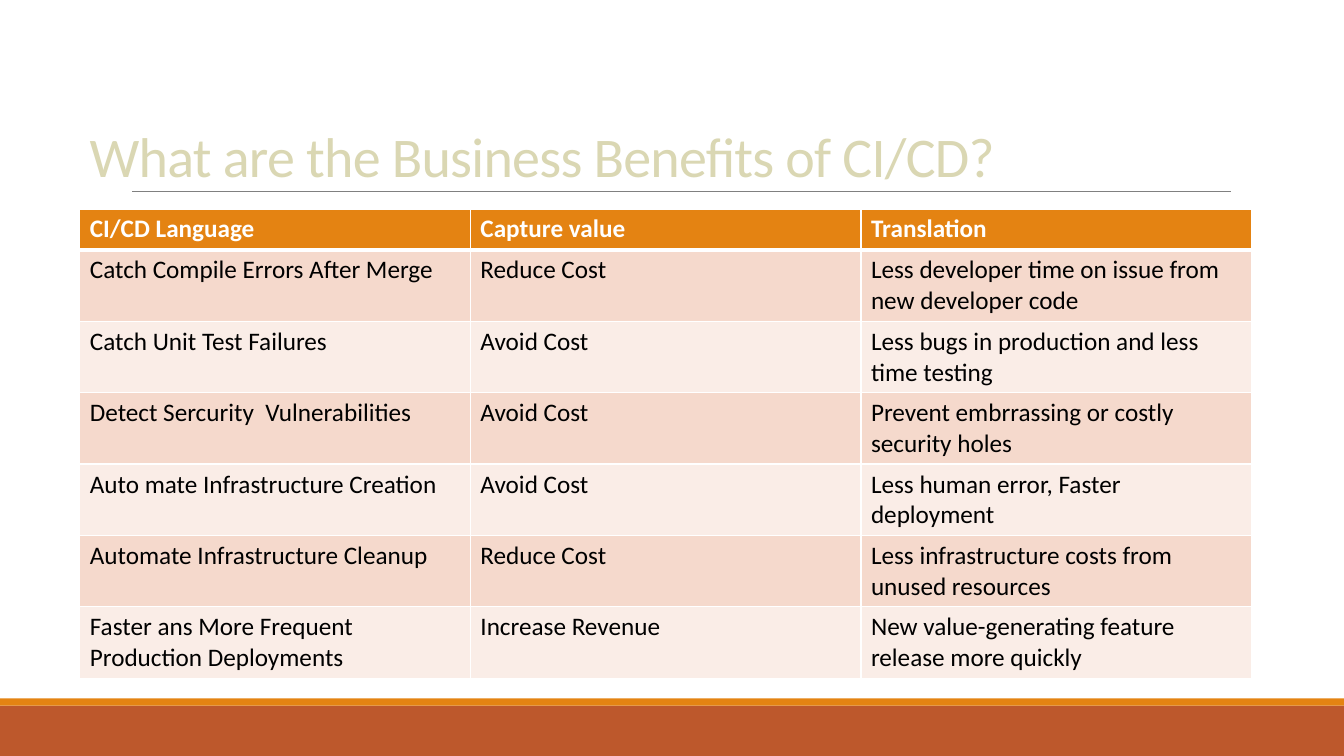
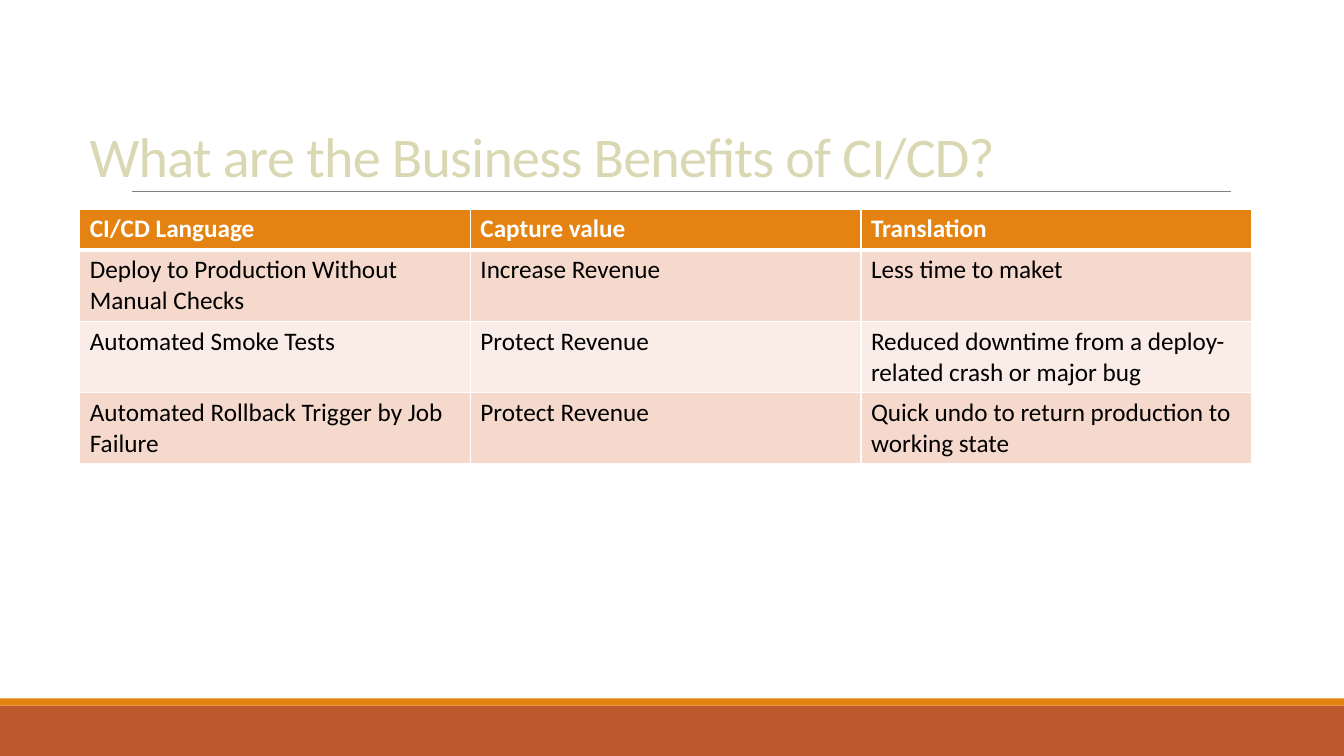
from lxml import etree
from pptx import Presentation
from pptx import util as u
from pptx.dml.color import RGBColor
from pptx.enum import shapes, text
from pptx.oxml import ns

PX = 9525
FONT = "Calibri"
COLORS = {
    "footer": "BD582C",
    "accent": "E48312",
    "rule": "808080",
    "title": "DAD7B3",
    "white": "FFFFFF",
    "body": "000000",
    "odd_row": "F5D9CC",
    "even_row": "FAEDE7",
}
TITLE = "What are the Business Benefits of CI/CD?"
HEADINGS = ("CI/CD Language", "Capture value", "Translation")
BENEFITS = [
    [
        ("Catch Compile Errors After Merge", "Reduce Cost",
         "Less developer time on issue from new developer code"),
        ("Catch Unit Test Failures", "Avoid Cost",
         "Less bugs in production and less time testing"),
        ("Detect Sercurity  Vulnerabilities", "Avoid Cost",
         "Prevent embrrassing or costly security holes"),
        ("Auto mate Infrastructure Creation", "Avoid Cost",
         "Less human error, Faster deployment"),
        ("Automate Infrastructure Cleanup", "Reduce Cost",
         "Less infrastructure costs from unused resources"),
        ("Faster ans More Frequent Production Deployments", "Increase Revenue",
         "New value-generating feature release more quickly"),
    ],
    [
        ("Deploy to Production Without Manual Checks", "Increase Revenue",
         "Less time to maket"),
        ("Automated Smoke Tests", "Protect Revenue",
         "Reduced downtime from a deploy-related crash or major bug"),
        ("Automated Rollback Trigger by Job Failure", "Protect Revenue",
         "Quick undo to return production to working state"),
    ],
]
MARGIN = 76
TABLE_TOP = 199
COLUMN_WIDTH = 372
HEADER_HEIGHT = 39
ROW_HEIGHT = 68


def px(*lengths):
    return [u.Emu(length * PX) for length in lengths]


def color(name):
    return RGBColor.from_string(COLORS[name])


def style_font(font, size, color_name, bold=False):
    font.name = FONT
    font.size = u.Pt(size)
    font.bold = bold
    font.color.rgb = color(color_name)


def add_band(slide, top, height, fill):
    band = slide.shapes.add_shape(
        shapes.MSO_SHAPE.RECTANGLE, *px(0, top, 1280, height))
    band.shadow.inherit = False
    band.fill.solid()
    band.fill.fore_color.rgb = color(fill)
    band.line.fill.background()


def add_rule(slide):
    rule = slide.shapes.add_connector(
        shapes.MSO_CONNECTOR.STRAIGHT, *px(126, 182, 1172, 182))
    rule.line.color.rgb = color("rule")
    rule.line.width = u.Pt(0.5)
    etree.SubElement(rule._element.spPr, ns.qn("a:effectLst"))


def add_title(slide, wording):
    frame = slide.shapes.add_textbox(*px(MARGIN, 38, 1025, 147)).text_frame
    frame.word_wrap = True
    frame.vertical_anchor = text.MSO_ANCHOR.BOTTOM
    heading = frame.paragraphs[0]
    heading.line_spacing = 0.85
    style_font(heading.font, 40, "title")
    run = heading.add_run()
    run.text = wording
    run._r.get_or_add_rPr().set("spc", "-50")


def add_border(cell, side, points):
    border = etree.SubElement(
        cell._tc.get_or_add_tcPr(), ns.qn(f"a:{side}"), w=str(u.Pt(points)))
    fill = etree.SubElement(border, ns.qn("a:solidFill"))
    etree.SubElement(fill, ns.qn("a:srgbClr"), val=COLORS["white"])


def fill_cell(cell, wording, row):
    header = row == 0
    widths = {"lnL": 1, "lnR": 1,
              "lnT": 3 if row == 1 else 1, "lnB": 3 if header else 1}
    for side, points in widths.items():
        add_border(cell, side, points)
    cell.fill.solid()
    cell.fill.fore_color.rgb = color(
        "accent" if header else "odd_row" if row % 2 else "even_row")
    cell.text = wording
    style_font(cell.text_frame.paragraphs[0].font, 18,
               "white" if header else "body", header)


def add_benefit_table(slide, benefits):
    rows = [HEADINGS, *benefits]
    table = slide.shapes.add_table(
        len(rows), len(HEADINGS),
        *px(MARGIN, TABLE_TOP, COLUMN_WIDTH * len(HEADINGS),
            HEADER_HEIGHT + ROW_HEIGHT * len(benefits))).table
    table.horz_banding = False
    for column in table.columns:
        column.width = u.Emu(COLUMN_WIDTH * PX)
    for index, wordings in enumerate(rows):
        height = ROW_HEIGHT if index else HEADER_HEIGHT
        table.rows[index].height = u.Emu(height * PX)
        for cell, wording in zip(table.rows[index].cells, wordings):
            fill_cell(cell, wording, index)


def add_benefit_slide(deck, benefits):
    slide = deck.slides.add_slide(deck.slide_layouts[6])
    add_band(slide, 672, 48, "footer")
    add_band(slide, 665, 7, "accent")
    add_rule(slide)
    add_title(slide, TITLE)
    add_benefit_table(slide, benefits)


def main():
    deck = Presentation()
    deck.slide_width, deck.slide_height = px(1280, 720)
    for benefits in BENEFITS:
        add_benefit_slide(deck, benefits)
    deck.save("out.pptx")


if __name__ == "__main__":
    main()
